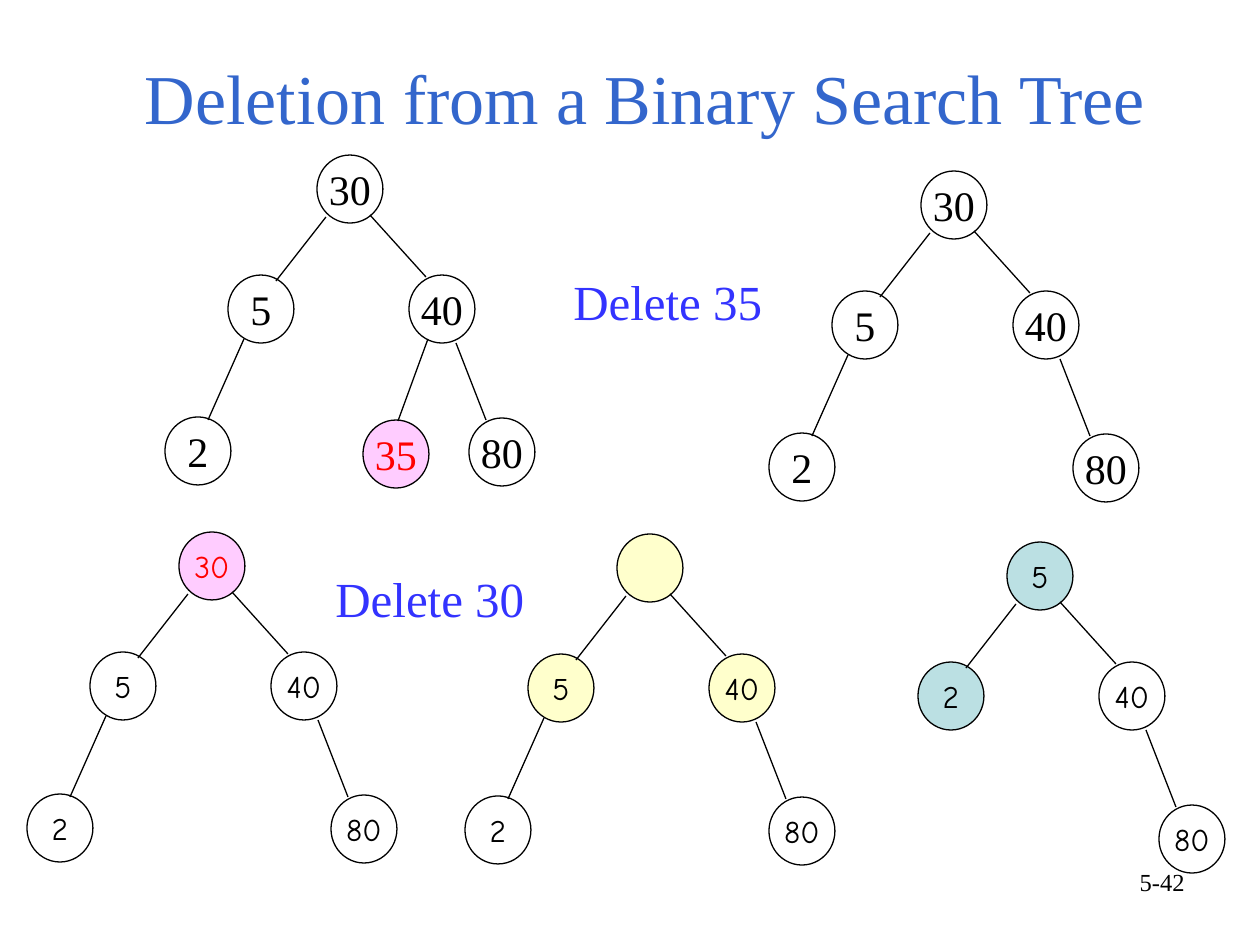
from lxml import etree
from pptx import Presentation
from pptx.dml.color import RGBColor
from pptx.enum.shapes import MSO_CONNECTOR, MSO_SHAPE
from pptx.enum.text import MSO_ANCHOR, MSO_AUTO_SIZE, PP_ALIGN
from pptx.oxml.ns import qn
from pptx.util import Pt

OVAL = MSO_SHAPE.OVAL
STRAIGHT = MSO_CONNECTOR.STRAIGHT
MIDDLE, BOTTOM = MSO_ANCHOR.MIDDLE, MSO_ANCHOR.BOTTOM
FIT, FIXED = MSO_AUTO_SIZE.SHAPE_TO_FIT_TEXT, MSO_AUTO_SIZE.NONE
LEFT, CENTER, RIGHT = PP_ALIGN.LEFT, PP_ALIGN.CENTER, PP_ALIGN.RIGHT

PX = 914400 / 126
SERIF, COMIC = "Times New Roman", "Comic Neue"
BLACK, RED = "000000", "FF0000"
PINK, YELLOW, TEAL = "FFCCFF", "FFFFCC", "BBE0E3"

NODE_W, NODE_H = 66, 68
NODES = {
    "root": (152, 0),
    "left": (63, 120),
    "right": (244, 120),
    "left_left": (0, 262),
    "right_left": (198, 265),
    "right_right": (304, 263),
}
EDGES = {
    "left": (161, 62, 111, 126),
    "right": (205, 60, 261, 122),
    "left_left": (79, 184, 43, 265),
    "right_left": (263, 184, 233, 266),
    "right_right": (291, 188, 321, 265),
}


def px(*values):
    return [round(v * PX) for v in values]


def rgb(color):
    return RGBColor.from_string(color)


def set_attrs(obj, values):
    for name, value in values.items():
        setattr(obj, name, value)


def set_text(tf, text, size, color, font=SERIF, align=CENTER, before=0, **frame):
    set_attrs(tf, frame)
    p = tf.paragraphs[0]
    set_attrs(p, {"alignment": align, "space_before": Pt(before)})
    r = p.add_run()
    r.text = text
    set_attrs(r.font, {"name": font, "size": Pt(size)})
    r.font.color.rgb = rgb(color)


def set_line(sp):
    sp.line.color.rgb = rgb(BLACK)
    sp.line.width = Pt(0.75)


def add_node(s, x, y, text, size, font, fill=None, color=BLACK):
    sp = s.shapes.add_shape(OVAL, *px(x, y, NODE_W, NODE_H))
    sp.shadow.inherit = False
    if fill:
        sp.fill.solid()
        sp.fill.fore_color.rgb = rgb(fill)
    else:
        sp.fill.background()
    set_line(sp)
    if text:
        set_text(sp.text_frame, text, size, color, font,
                 vertical_anchor=MIDDLE, word_wrap=False)


def add_edge(s, x1, y1, x2, y2):
    line = s.shapes.add_connector(STRAIGHT, *px(x1, y1, x2, y2))
    set_line(line)
    etree.SubElement(line._element.spPr, qn("a:effectLst"))


def add_tree(s, x, y, nodes, size, font):
    for place, node in nodes.items():
        dx, dy = NODES[place]
        add_node(s, x + dx, y + dy, node[0], size, font, *node[1:])
    for place in nodes:
        if place in EDGES:
            x1, y1, x2, y2 = EDGES[place]
            add_edge(s, x + x1, y + y1, x + x2, y + y2)


def add_title(s, x, y, w, h, text):
    title = s.shapes.title
    set_attrs(title, dict(zip(("left", "top", "width", "height"), px(x, y, w, h))))
    set_text(title.text_frame, text, 40, "3366CC",
             vertical_anchor=BOTTOM, auto_size=FIXED)


def add_label(s, x, y, w, h, text, size, color, **fmt):
    box = s.shapes.add_textbox(*px(x, y, w, h))
    set_text(box.text_frame, text, size, color, word_wrap=True, **fmt)


def add_step(s, x, y, w, h, text):
    add_label(s, x, y, w, h, text, 28, "3333FF",
              align=LEFT, before=17.5, auto_size=FIT)


def main():
    prs = Presentation()
    prs.slide_width, prs.slide_height = px(1260, 945)
    s = prs.slides.add_slide(prs.slide_layouts[5])
    add_title(s, 95, 48, 1100, 97, "Deletion from a Binary Search Tree")

    plain = {
        "root": ("30",),
        "left": ("5",),
        "right": ("40",),
        "left_left": ("2",),
        "right_right": ("80",),
    }
    leaf_marked = {**plain, "right_left": ("35", PINK, RED)}
    root_marked = {**plain, "root": ("30", PINK, RED)}
    root_empty = {
        **plain,
        "root": ("", YELLOW),
        "left": ("5", YELLOW),
        "right": ("40", YELLOW),
    }
    root_replaced = {
        "root": ("5", TEAL),
        "left": ("2", TEAL),
        "right": ("40",),
        "right_right": ("80",),
    }

    add_tree(s, 165, 155, leaf_marked, 24, SERIF)
    add_tree(s, 769, 171, plain, 24, SERIF)
    add_tree(s, 27, 532, root_marked, 18, COMIC)
    add_tree(s, 465, 534, root_empty, 18, COMIC)
    add_tree(s, 855, 542, root_replaced, 18, COMIC)

    add_step(s, 561, 265, 242, 72, "Delete 35")
    add_step(s, 323, 562, 222, 72, "Delete 30")
    add_label(s, 903, 861, 294, 66, "5-42", 14, BLACK, align=RIGHT)
    prs.save("out.pptx")


if __name__ == "__main__":
    main()
